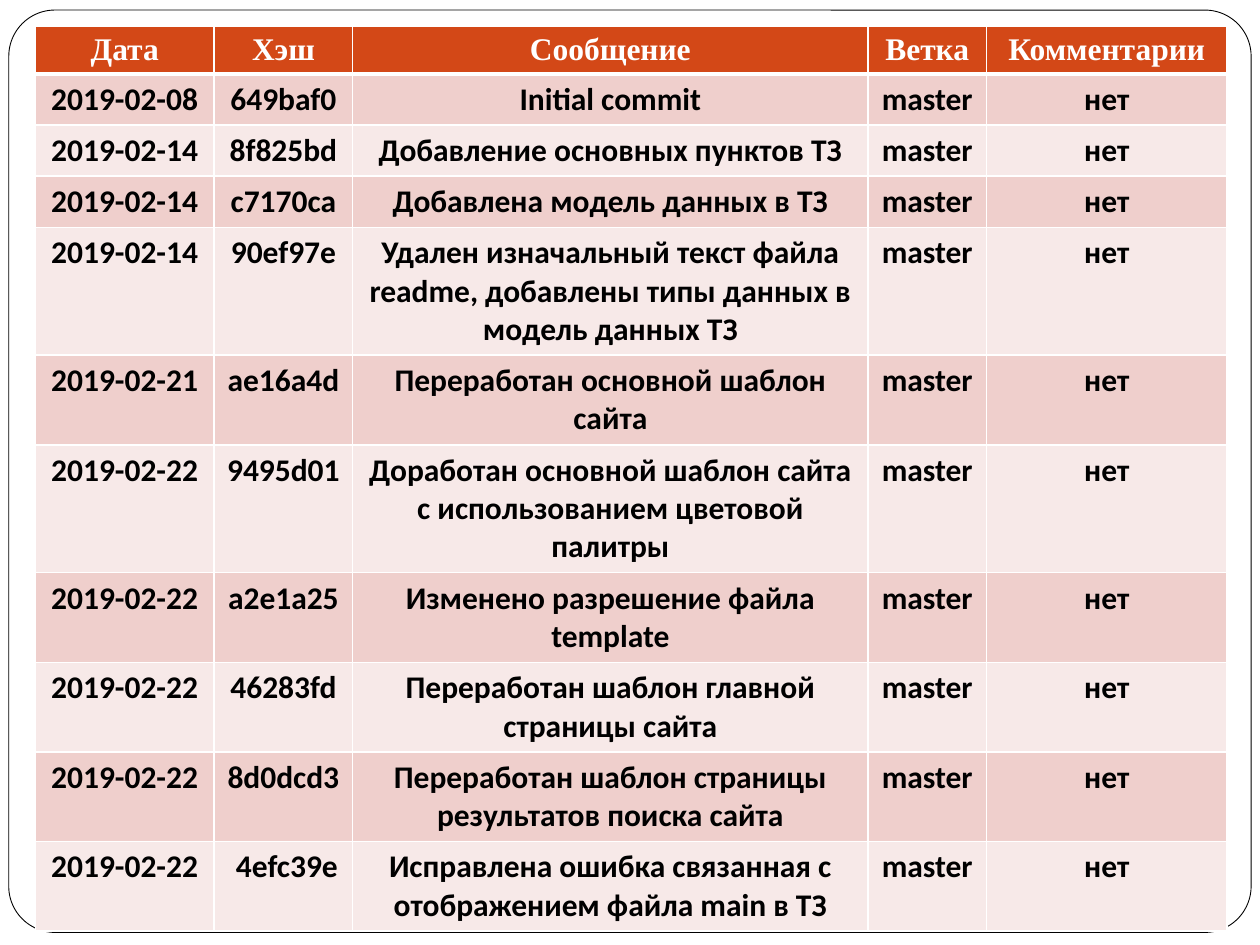
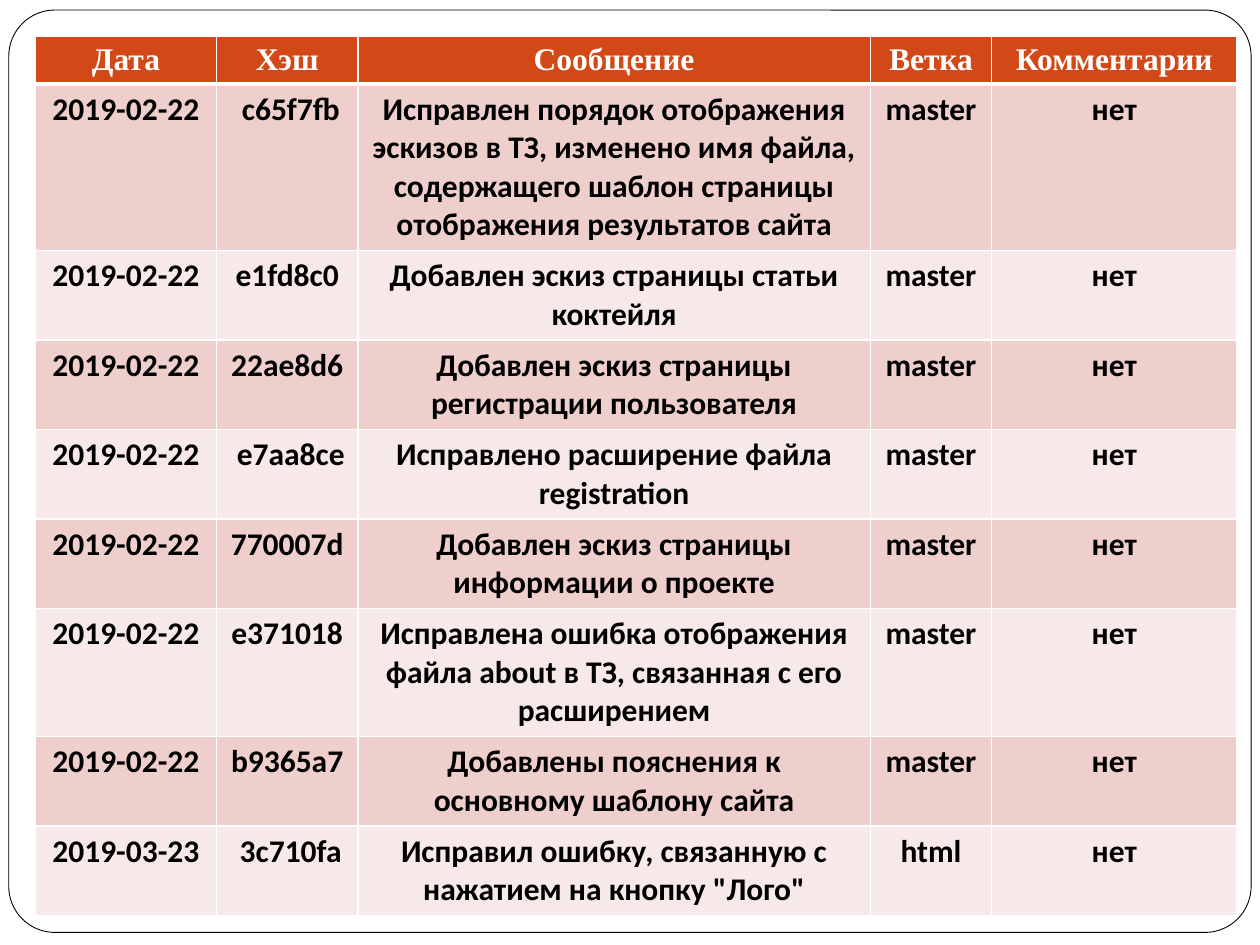
from lxml import etree
from pptx import Presentation
from pptx.dml.color import RGBColor
from pptx.enum import shapes, text
from pptx.oxml import ns
from pptx.util import Inches, Pt

WHITE = RGBColor(0xFF, 0xFF, 0xFF)
BLACK = RGBColor(0, 0, 0)
ORANGE = RGBColor(0xD3, 0x48, 0x17)
BANDS = (RGBColor(0xEF, 0xCF, 0xCC), RGBColor(0xF7, 0xE9, 0xE8))

HEADER_FONT = "Times New Roman"
BODY_FONT = "Calibri"
FONT_SIZE = Pt(18)
ROW_HEIGHT = 0.33
THIN, THICK = Pt(1), Pt(3)

HEADINGS = ("Дата", "Хэш", "Сообщение", "Ветка", "Комментарии")
NO_COMMENT = "нет"

# Date, hash, message, branch
FIRST_COMMITS = [
    ("2019-02-08", "649baf0", "Initial commit", "master "),
    ("2019-02-14", "8f825bd", "Добавление основных пунктов ТЗ", "master"),
    ("2019-02-14", "c7170ca", "Добавлена модель данных в ТЗ", "master "),
    ("2019-02-14", "90ef97e", "Удален изначальный текст файла readme, "
     "добавлены типы данных в модель данных ТЗ", "master"),
    ("2019-02-21", "ae16a4d", "Переработан основной шаблон сайта", "master"),
    ("2019-02-22", "9495d01", "Доработан основной шаблон сайта "
     "с использованием цветовой палитры", "master"),
    ("2019-02-22", "a2e1a25", "Изменено разрешение файла template", "master"),
    ("2019-02-22", "46283fd", "Переработан шаблон главной страницы сайта", "master"),
    ("2019-02-22", "8d0dcd3", "Переработан шаблон страницы результатов поиска сайта",
     "master"),
    ("2019-02-22", " 4efc39e", "Исправлена ошибка связанная с отображением "
     "файла main в ТЗ", "master"),
]
LATER_COMMITS = [
    ("2019-02-22", " c65f7fb", "Исправлен порядок отображения эскизов в ТЗ, "
     "изменено имя файла, содержащего шаблон страницы отображения "
     "результатов сайта", "master"),
    ("2019-02-22", "e1fd8c0", "Добавлен эскиз страницы статьи коктейля", "master"),
    ("2019-02-22", "22ae8d6", "Добавлен эскиз страницы регистрации пользователя",
     "master"),
    ("2019-02-22", " e7aa8ce", "Исправлено расширение файла registration", "master"),
    ("2019-02-22", "770007d", "Добавлен эскиз страницы информации о проекте",
     "master"),
    ("2019-02-22", "e371018", "Исправлена ошибка отображения файла about в ТЗ, "
     "связанная с его расширением", "master"),
    ("2019-02-22", "b9365a7", "Добавлены пояснения к основному шаблону сайта",
     "master"),
    ("2019-03-23", " 3c710fa", 'Исправил ошибку, связанную с нажатием на кнопку "Лого"',
     "html"),
]


def add_framed_slide(prs):
    """Add a blank slide with the rounded frame that every slide carries."""
    slide = prs.slides.add_slide(prs.slide_layouts[6])
    frame = slide.shapes.add_shape(
        shapes.MSO_SHAPE.ROUNDED_RECTANGLE,
        Inches(0.07), Inches(0.08), Inches(9.86), Inches(7.32))
    frame.adjustments[0] = 0.05
    frame.shadow.inherit = False
    frame.fill.solid()
    frame.fill.fore_color.rgb = WHITE
    frame.line.color.rgb = BLACK
    frame.line.width = Pt(0.5)
    return slide


def set_borders(cell, top, bottom):
    """Draw white cell borders; they must precede the fill in the XML."""
    properties = cell._tc.get_or_add_tcPr()
    widths = {"lnL": THIN, "lnR": THIN, "lnT": top, "lnB": bottom}
    for position, (side, width) in enumerate(widths.items()):
        border = etree.Element(ns.qn(f"a:{side}"), w=str(width))
        fill = etree.SubElement(border, ns.qn("a:solidFill"))
        etree.SubElement(fill, ns.qn("a:srgbClr"), val=str(WHITE))
        properties.insert(position, border)


def fill_cell(cell, content, fill, font_name, font_color):
    cell.text = content
    cell.fill.solid()
    cell.fill.fore_color.rgb = fill
    paragraph = cell.text_frame.paragraphs[0]
    paragraph.alignment = text.PP_ALIGN.CENTER
    paragraph.font.name = font_name
    paragraph.font.size = FONT_SIZE
    paragraph.font.bold = True
    paragraph.font.color.rgb = font_color


def add_commit_table(slide, top, column_widths, commits):
    """Add the commit log; rows grow from ROW_HEIGHT to fit their messages."""
    rows = [HEADINGS] + [(*commit, NO_COMMENT) for commit in commits]
    log = slide.shapes.add_table(
        len(rows), len(HEADINGS), Inches(0.28), Inches(top),
        Inches(sum(column_widths)), Inches(ROW_HEIGHT * len(rows))).table
    for column, width in zip(log.columns, column_widths):
        column.width = Inches(width)
    for r, row in enumerate(rows):
        log.rows[r].height = Inches(ROW_HEIGHT)
        if r == 0:
            style = (ORANGE, HEADER_FONT, WHITE)
        else:
            style = (BANDS[(r - 1) % 2], BODY_FONT, BLACK)
        for c, content in enumerate(row):
            cell = log.cell(r, c)
            fill_cell(cell, content, *style)
            set_borders(cell, top=THICK if r == 1 else THIN,
                        bottom=THICK if r == 0 else THIN)


def main():
    prs = Presentation()
    prs.slide_width, prs.slide_height = Inches(10), Inches(7.5)
    add_commit_table(add_framed_slide(prs), 0.21,
                     (1.42, 1.1, 4.09, 0.94, 1.91), FIRST_COMMITS)
    add_commit_table(add_framed_slide(prs), 0.29,
                     (1.44, 1.12, 4.07, 0.96, 1.95), LATER_COMMITS)
    prs.save("out.pptx")


if __name__ == "__main__":
    main()
